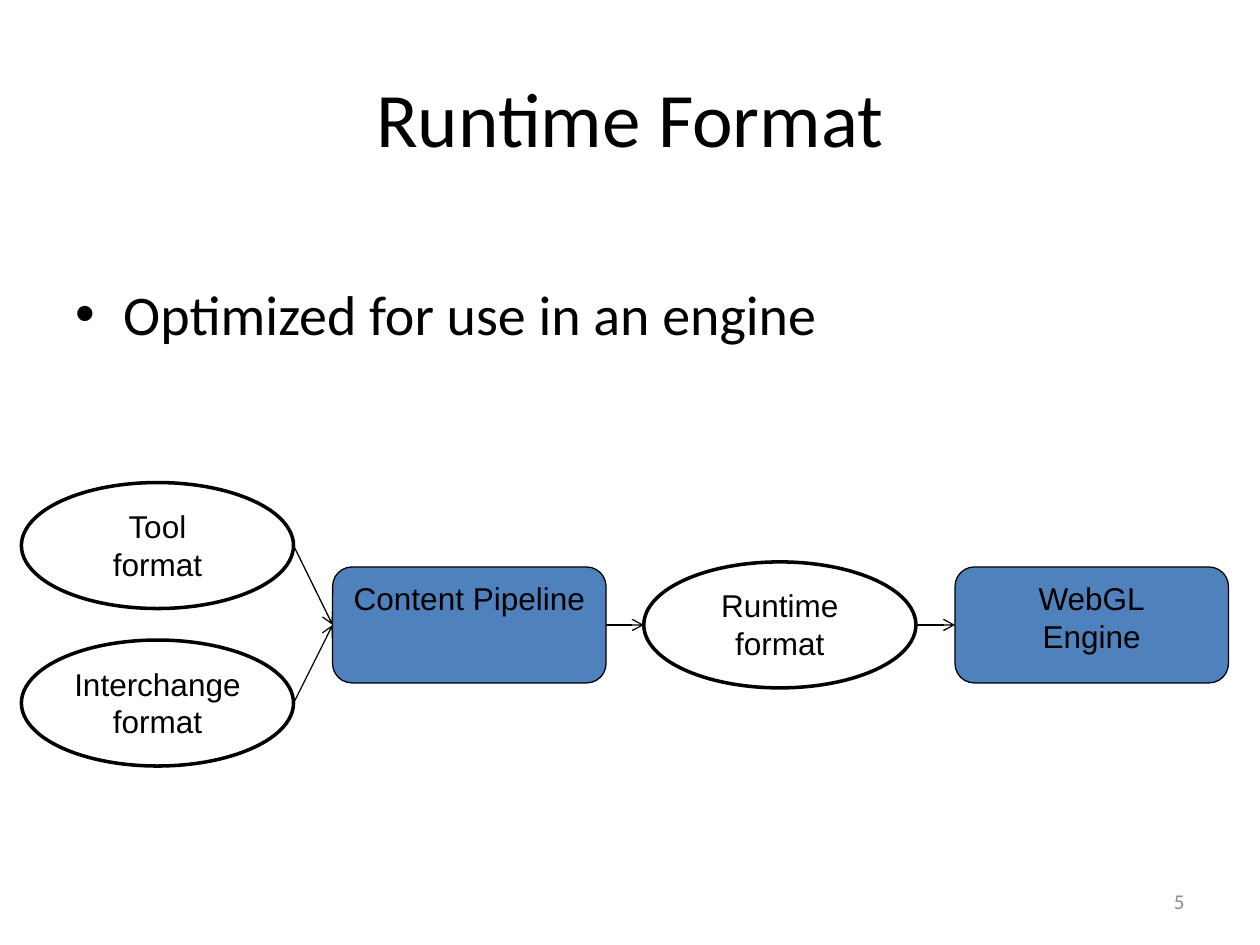
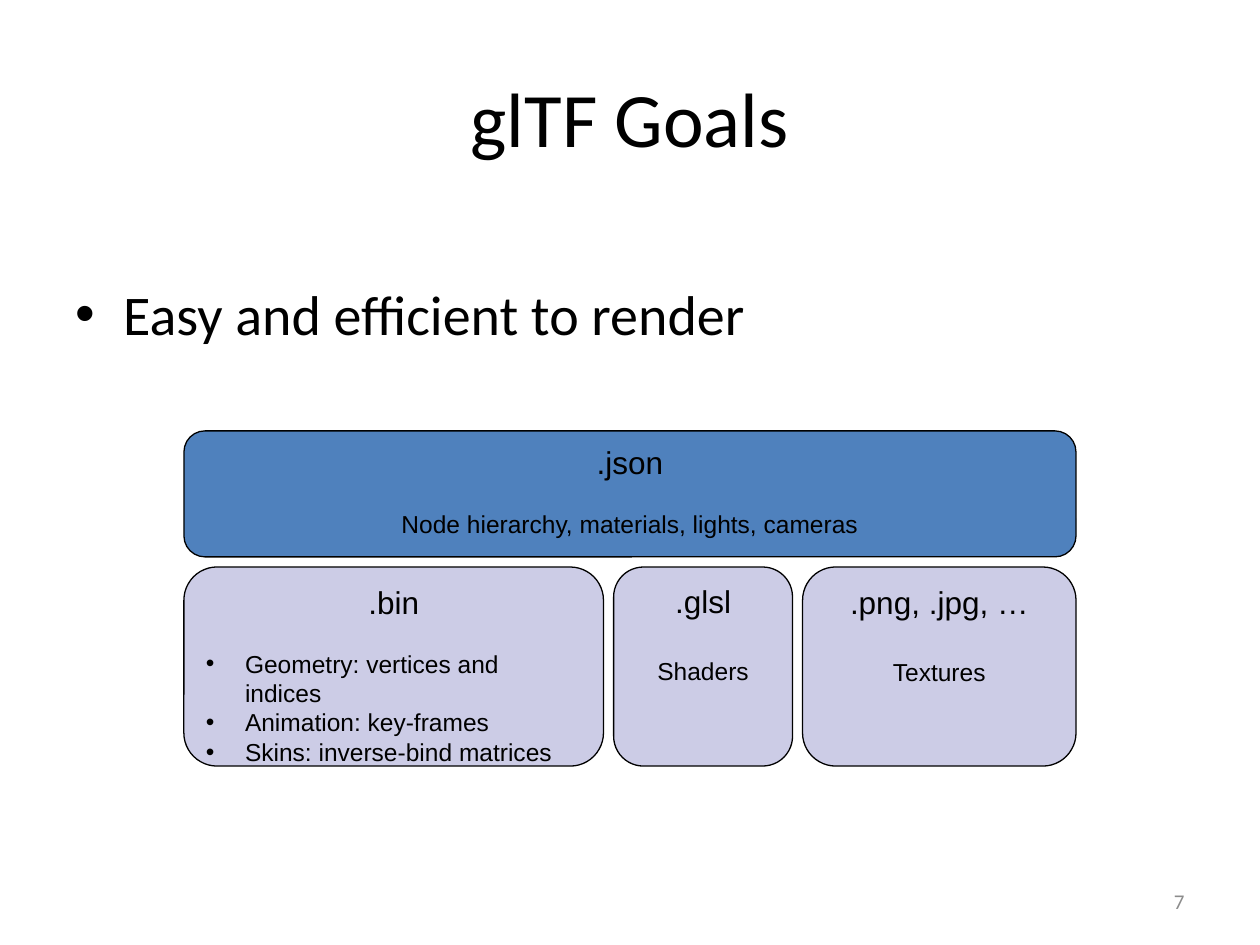
"""Build two slides on a runtime format and the goals of glTF."""
from lxml import etree
from pptx import Presentation
from pptx.dml.color import RGBColor
from pptx.enum.shapes import MSO_CONNECTOR, MSO_SHAPE
from pptx.enum.text import MSO_ANCHOR, PP_ALIGN
from pptx.oxml.ns import qn
from pptx.util import Inches, Pt

ELLIPSE, ROUNDED = MSO_SHAPE.OVAL, MSO_SHAPE.ROUNDED_RECTANGLE
STRAIGHT = MSO_CONNECTOR.STRAIGHT
TOP, MIDDLE = MSO_ANCHOR.TOP, MSO_ANCHOR.MIDDLE
LEFT, CENTER, RIGHT = PP_ALIGN.LEFT, PP_ALIGN.CENTER, PP_ALIGN.RIGHT
LEFT_SIDE, RIGHT_SIDE = 1, 3

COLORS = {"black": "000000", "white": "FFFFFF", "blue": "4F81BD",
          "lilac": "CCCCE6", "gray": "8C8C8C"}
TEXT_STYLES = {
    "title": {"size": 44, "font": "Calibri", "color": "black", "align": CENTER},
    "body": {"size": 32, "font": "Calibri", "color": "black", "align": LEFT,
             "indent": 0.38, "before": 6.4},
    "number": {"size": 12, "font": "Calibri", "color": "gray", "align": RIGHT},
    "label": {"size": 18, "font": "Arial", "color": "black", "align": CENTER},
    "detail": {"size": 14, "font": "Arial", "color": "black", "align": CENTER,
               "before": 16},
    "low detail": {"size": 14, "font": "Arial", "color": "black", "align": CENTER,
                   "before": 21},
    "first item": {"size": 14, "font": "Arial", "color": "black", "align": LEFT,
                   "indent": 0.31, "before": 16},
    "item": {"size": 14, "font": "Arial", "color": "black", "align": LEFT,
             "indent": 0.31},
}


def write_lines(shape, lines, anchor):
    """Fill a shape with (text, style name) lines."""
    frame = shape.text_frame
    for name, value in {"word_wrap": True, "vertical_anchor": anchor}.items():
        setattr(frame, name, value)
    for index, (text, style_name) in enumerate(lines):
        style = TEXT_STYLES[style_name]
        paragraph = frame.add_paragraph() if index else frame.paragraphs[0]
        run = paragraph.add_run()
        run.text = text
        for name, value in {"size": Pt(style["size"]), "name": style["font"]}.items():
            setattr(run.font, name, value)
        run.font.color.rgb = RGBColor.from_string(COLORS[style["color"]])
        paragraph.alignment = style["align"]
        paragraph.space_before = Pt(style.get("before", 0))
        if "indent" in style:
            properties = paragraph._p.get_or_add_pPr()
            indent = Inches(style["indent"])
            properties.set("marL", str(indent))
            properties.set("indent", str(-indent))
            etree.SubElement(properties, qn("a:buFont")).set("typeface", "Arial")
            etree.SubElement(properties, qn("a:buChar")).set("char", "•")


def add_box(slide, kind, place, color, lines):
    """Add an outlined ellipse or rounded rectangle with text."""
    shape = slide.shapes.add_shape(kind, *map(Inches, place))
    shape.shadow.inherit = False
    shape.fill.solid()
    shape.fill.fore_color.rgb = RGBColor.from_string(COLORS[color])
    shape.line.color.rgb = RGBColor.from_string(COLORS["black"])
    shape.line.width = Pt(2 if kind == ELLIPSE else 0.75)
    if kind == ELLIPSE:
        shape.text_frame.margin_left = shape.text_frame.margin_right = Inches(0.05)
    write_lines(shape, lines, TOP)
    return shape


presentation = Presentation()
presentation.slide_width, presentation.slide_height = Inches(10), Inches(7.5)

slides = []
for title, bullet, number in [
    ("Runtime Format", "Optimized for use in an engine", "5"),
    ("glTF Goals", "Easy and efficient to render", "7"),
]:
    slide = presentation.slides.add_slide(presentation.slide_layouts[6])
    for text, style_name, place, anchor in [
        (title, "title", (0.5, 0.3, 9, 1.25), MIDDLE),
        (bullet, "body", (0.5, 2.17, 9, 0.7), TOP),
        (number, "number", (7.17, 6.95, 2.33, 0.4), MIDDLE),
    ]:
        text_box = slide.shapes.add_textbox(*map(Inches, place))
        write_lines(text_box, [(text, style_name)], anchor)
    slides.append(slide)
pipeline_slide, goals_slide = slides

FLOW_LEFT, FLOW_STEP, FLOW_MIDDLE = 0.17, 2.47, 4.96
STEP_SIZES = {ELLIPSE: (2.16, 1, "white"), ROUNDED: (2.17, 0.92, "blue")}
steps = {}
for name, column, middle, kind, lines in [
    ("interchange", 0, 5.58, ELLIPSE, ["Interchange format"]),
    ("tool", 0, 4.33, ELLIPSE, ["Tool", "format"]),
    ("pipeline", 1, FLOW_MIDDLE, ROUNDED, ["Content Pipeline"]),
    ("runtime", 2, FLOW_MIDDLE, ELLIPSE, ["Runtime", "format"]),
    ("engine", 3, FLOW_MIDDLE, ROUNDED, ["WebGL", "Engine"]),
]:
    width, height, color = STEP_SIZES[kind]
    place = (FLOW_LEFT + column * FLOW_STEP, middle - height / 2, width, height)
    steps[name] = add_box(pipeline_slide, kind, place, color,
                          [(line, "label") for line in lines])

for source_name, target_name in [("interchange", "pipeline"), ("tool", "pipeline"),
                                 ("pipeline", "runtime"), ("runtime", "engine")]:
    source, target = steps[source_name], steps[target_name]
    arrow = pipeline_slide.shapes.add_connector(
        STRAIGHT, source.left + source.width, source.top + source.height // 2,
        target.left, target.top + target.height // 2)
    if source.auto_shape_type == ROUNDED:
        arrow.begin_connect(source, RIGHT_SIDE)
    if target.auto_shape_type == ROUNDED:
        arrow.end_connect(target, LEFT_SIDE)
    arrow.line.color.rgb = RGBColor.from_string(COLORS["black"])
    arrow.line.width = Pt(0.75)
    etree.SubElement(arrow.line._get_or_add_ln(), qn("a:tailEnd")).set("type", "arrow")
    etree.SubElement(arrow._element.spPr, qn("a:effectLst"))

FILES_LEFT, FILES_GAP = 1.46, 0.08
add_box(goals_slide, ROUNDED, (FILES_LEFT, 3.42, 7.08, 1), "blue",
        [(".json", "label"), ("Node hierarchy, materials, lights, cameras", "detail")])
left = FILES_LEFT
for width, lines in [
    (3.33, [(".bin", "label"),
            ("Geometry: vertices and indices", "first item"),
            ("Animation: key-frames", "item"),
            ("Skins: inverse-bind matrices", "item")]),
    (1.42, [(".glsl", "label"), ("Shaders", "low detail")]),
    (2.17, [(".png, .jpg, …", "label"), ("Textures", "low detail")]),
]:
    add_box(goals_slide, ROUNDED, (left, 4.5, width, 1.58), "lilac", lines)
    left += width + FILES_GAP

presentation.save("out.pptx")
